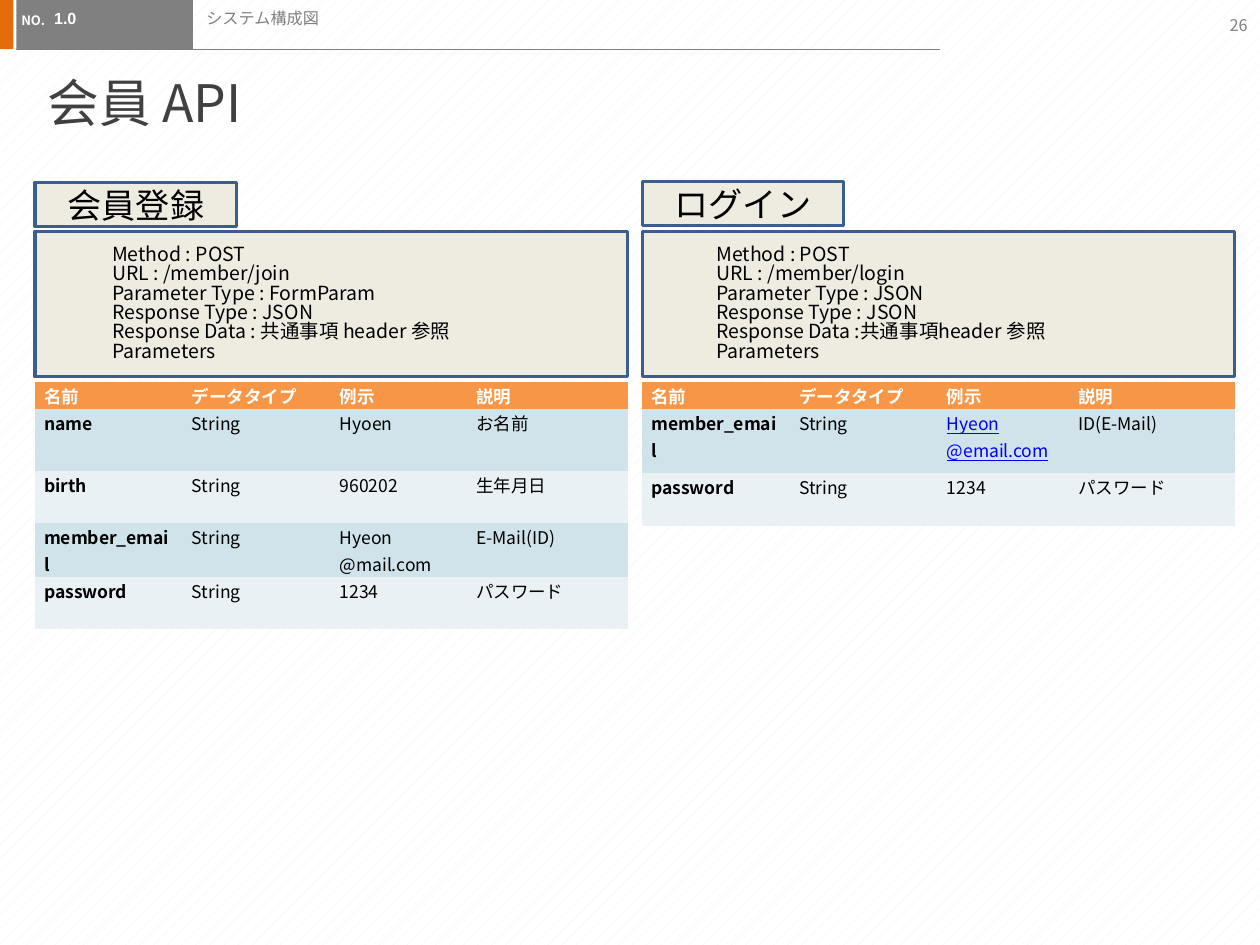
from lxml.etree import SubElement
from pptx import Presentation
from pptx.dml.color import RGBColor
from pptx.enum.dml import MSO_PATTERN as Pattern
from pptx.enum.shapes import MSO_CONNECTOR as Connector, MSO_SHAPE as Shape
from pptx.enum.text import MSO_ANCHOR as Anchor, PP_ALIGN as Align
from pptx.oxml.ns import qn
from pptx.util import Cm, Pt

FONT = "Noto Sans CJK KR"
NO_GRID = "{2D5ABB26-0587-4C30-8999-92F81FD0307C}"


def rgb(value):
    return RGBColor.from_string(value)


def write(frame, text, size=10, color="000000", bold=False, underline=False, font=FONT,
          align=Align.LEFT, spacing=None, left=0, indent=0):
    for index, line in enumerate(text.split("\n")):
        paragraph = frame.add_paragraph() if index else frame.paragraphs[0]
        paragraph.alignment = align
        paragraph.line_spacing = spacing
        if left or indent:
            props = paragraph._p.get_or_add_pPr()
            props.set("marL", str(Cm(left)))
            props.set("indent", str(Cm(indent)))
        run = paragraph.add_run()
        run.text = line
        run.font.size = Pt(size)
        run.font.bold = bold
        run.font.underline = underline
        run.font.color.rgb = rgb(color)
        run.font.name = font
        SubElement(run._r.get_or_add_rPr(), qn("a:ea"), typeface=font)


class Page:
    """Draws styled elements on one slide."""

    orange, gray, white = "E46C0A", "808080", "FFFFFF"
    panel, border = "EEECE1", "3A5F8C"
    header, bands = "F79646", ("D0E3EA", "E9F1F5")

    def __init__(self, slide):
        self.slide = slide
        backdrop = slide.background.fill
        backdrop.patterned()
        backdrop.pattern = Pattern.PERCENT_10
        backdrop.fore_color.rgb = rgb("F2F2F2")
        backdrop.back_color.rgb = rgb(self.white)

    def block(self, x, y, width, height, fill, line=None):
        block = self.slide.shapes.add_shape(Shape.RECTANGLE, Cm(x), Cm(y), Cm(width), Cm(height))
        block.shadow.inherit = False
        block.fill.solid()
        block.fill.fore_color.rgb = rgb(fill)
        if line:
            block.line.color.rgb = rgb(line)
            block.line.width = Pt(2)
        else:
            block.line.fill.background()
        return block

    def panel_text(self, x, y, width, height, text, **style):
        frame = self.block(x, y, width, height, self.panel, self.border).text_frame
        frame.word_wrap = True
        frame.vertical_anchor = Anchor.MIDDLE
        write(frame, text, **style)

    def rule(self, x, y, end):
        rule = self.slide.shapes.add_connector(Connector.STRAIGHT, Cm(x), Cm(y), Cm(end), Cm(y))
        rule.line.color.rgb = rgb(self.gray)
        rule.line.width = Pt(0.5)
        SubElement(rule._element.spPr, qn("a:effectLst"))

    def label(self, x, y, width, height, text, wrap=True, anchor=Anchor.TOP, side=0.25, **style):
        frame = self.slide.shapes.add_textbox(Cm(x), Cm(y), Cm(width), Cm(height)).text_frame
        frame.word_wrap = wrap
        frame.vertical_anchor = anchor
        frame.margin_left = frame.margin_right = Cm(side)
        write(frame, text, **style)

    def table(self, x, y, widths, heights, rows, links=()):
        holder = self.slide.shapes.add_table(len(rows), len(widths), Cm(x), Cm(y),
                                             Cm(sum(widths)), Cm(sum(heights)))
        next(holder._element.iter(qn("a:tableStyleId"))).text = NO_GRID
        grid = holder.table
        for column, width in zip(grid.columns, widths):
            column.width = Cm(width)
        for r, (height, row) in enumerate(zip(heights, rows)):
            grid.rows[r].height = Cm(height)
            for c, text in enumerate(row):
                cell = grid.cell(r, c)
                cell.margin_left = cell.margin_right = Cm(0.18)
                cell.margin_top = cell.margin_bottom = 0
                cell.fill.solid()
                cell.fill.fore_color.rgb = rgb(self.bands[(r - 1) % 2] if r else self.header)
                linked = text in links
                color = "0000FF" if linked else "000000"
                write(cell.text_frame, text, color=color if r else self.white,
                      bold=r == 0 or c == 0, underline=linked, spacing=1.07)

    def endpoint(self, x, top, name, details, indent, widths, heights, fields, links=()):
        self.panel_text(x, 4.67, 11.94, 2.92, details, size=11.1, spacing=0.83, indent=indent)
        headings = ("名前", "データタイプ", "例示", "説明")
        self.table(x, 7.7, widths, heights, [headings, *fields], links)
        self.panel_text(x, top, 4.06, 0.89, name, size=19.5, align=Align.CENTER)


def main():
    deck = Presentation()
    deck.slide_width, deck.slide_height = Cm(25.4), Cm(19.05)
    page = Page(deck.slides.add_slide(deck.slide_layouts[6]))

    page.block(-0.03, 0, 0.3, 0.99, page.orange)
    page.rule(0.33, 0.99, 18.95)
    page.block(0.33, 0, 3.56, 0.99, page.gray)
    page.label(0.18, 0.13, 0.99, 0.58, "NO.", wrap=False, size=7.4, color=page.white, bold=True)
    page.label(23.88, 0, 1.52, 1.02, "26", anchor=Anchor.MIDDLE, size=9.2, color=page.gray,
               align=Align.RIGHT)
    page.label(3.91, 0.05, 15.01, 1.09, "システム構成図", size=9.2, color=page.gray)
    page.label(1.09, 0.05, 2.79, 1.07, "1.0", side=0, size=9.2, color=page.white, bold=True,
               font="Arial", left=0.89, indent=-0.89)
    page.label(0.71, 1.3, 9.73, 1.47, "会員 API", size=29.5, color="404040")

    page.endpoint(
        0.71, 3.68, "会員登録",
        "Method : POST\nURL : /member/join\nParameter Type : FormParam\n"
        "Response Type : JSON\nResponse Data : 共通事項 header 参照\nParameters",
        1.3, (2.98, 2.98, 2.75, 3.23), (0.54, 1.25, 1.05, 1.09, 1.05),
        [("name", "String", "Hyoen", "お名前"),
         ("birth", "String", "960202", "生年月日"),
         ("member_email", "String", "Hyeon\n@mail.com", "E-Mail(ID)"),
         ("password", "String", "1234", "パスワード")])
    page.endpoint(
        12.95, 3.66, "ログイン",
        "Method : POST\nURL : /member/login\nParameter Type : JSON\n"
        "Response Type : JSON\nResponse Data :共通事項header 参照\nParameters",
        1.24, (2.98, 2.98, 2.65, 3.33), (0.54, 1.29, 1.07),
        [("member_email", "String", "Hyeon\n@email.com", "ID(E-Mail)"),
         ("password", "String", "1234", "パスワード")],
        links=("Hyeon\n@email.com",))

    deck.save("out.pptx")


if __name__ == "__main__":
    main()
